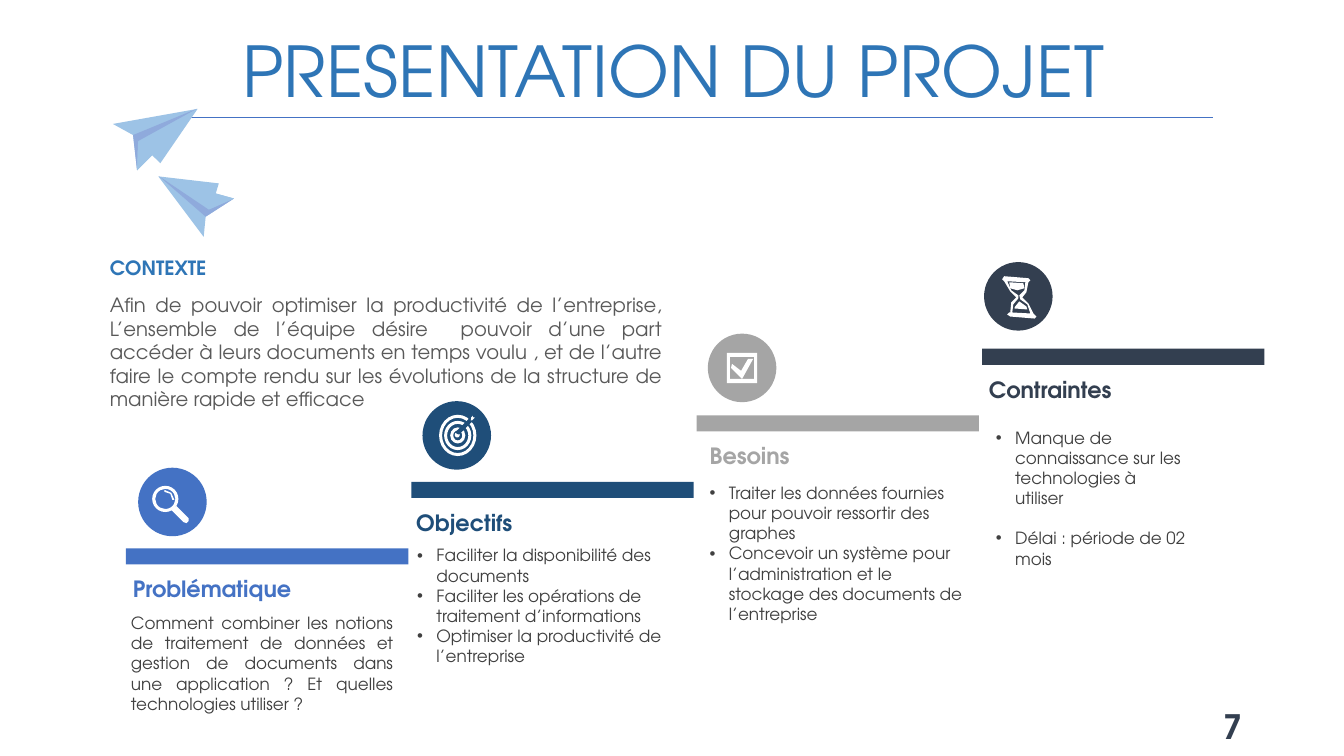
from dataclasses import dataclass

from lxml import etree
from pptx import Presentation
from pptx.dml.color import RGBColor
from pptx.enum.shapes import MSO_CONNECTOR, MSO_SHAPE
from pptx.enum.text import MSO_ANCHOR, PP_ALIGN
from pptx.oxml.ns import qn
from pptx.util import Inches, Pt

RECT, OVAL, DONUT = MSO_SHAPE.RECTANGLE, MSO_SHAPE.OVAL, MSO_SHAPE.DONUT
STRAIGHT = MSO_CONNECTOR.STRAIGHT
LEFT, CENTER = PP_ALIGN.LEFT, PP_ALIGN.CENTER
RIGHT, JUSTIFY = PP_ALIGN.RIGHT, PP_ALIGN.JUSTIFY
TOP, MIDDLE = MSO_ANCHOR.TOP, MSO_ANCHOR.MIDDLE


@dataclass(frozen=True)
class Theme:
    font: str = "TeX Gyre Adventor"
    title: str = "2E75B6"
    rule: str = "4472C4"
    context: str = "595959"
    body: str = "404040"
    white: str = "FFFFFF"
    wing: str = "9DC3E6"
    fold: str = "8FAADC"
    number: str = "333F50"
    title_size: int = 50
    number_size: int = 24
    heading_size: int = 16
    context_size: int = 14
    body_size: int = 12


THEME = Theme()
UNIT = 0.01  # drawings are plotted in hundredths of an inch
DISC = 0.68
BAR_W, BAR_H = 2.8, 0.16
STEP_X, STEP_Y = 2.83, -0.66


def add_text(s, box, lines, size, color, bold=False, align=LEFT, anchor=TOP,
             bullet=False, gap=0, spacing=None):
    tf = s.shapes.add_textbox(*map(Inches, box)).text_frame
    tf.word_wrap = True
    tf.vertical_anchor = anchor
    for i, line in enumerate(lines):
        p = tf.paragraphs[0] if i == 0 else tf.add_paragraph()
        p.alignment = align
        p.line_spacing = spacing
        p.space_before = Pt(gap if i else 0)
        if bullet:
            pPr = p._p.get_or_add_pPr()
            pPr.set("marL", str(Inches(0.19)))
            pPr.set("indent", str(Inches(-0.19)))
            etree.SubElement(pPr, qn("a:buFont")).set("typeface", "Arial")
            etree.SubElement(pPr, qn("a:buChar")).set("char", "•")
        r = p.add_run()
        r.text = line
        r.font.name, r.font.size, r.font.bold = THEME.font, Pt(size), bold
        r.font.color.rgb = RGBColor.from_string(color)


def paint(sp, fill, edge=None):
    sp.shadow.inherit = False
    sp.fill.solid()
    sp.fill.fore_color.rgb = RGBColor.from_string(fill)
    if edge:
        sp.line.color.rgb = RGBColor.from_string(edge)
        sp.line.width = Pt(1.5)
    else:
        sp.line.fill.background()


def add_preset(s, kind, box, fill):
    sp = s.shapes.add_shape(kind, *map(Inches, box))
    paint(sp, fill)
    return sp


def add_outline(s, x, y, contours, fill, edge=None):
    """Draw closed contours, inner ones as holes, from the corner x, y."""
    first, *holes = contours
    builder = s.shapes.build_freeform(*first[0], scale=Inches(UNIT))
    builder.add_line_segments(first[1:], close=True)
    for hole in holes:
        builder.move_to(*hole[0])
        builder.add_line_segments(hole[1:], close=True)
    paint(builder.convert_to_shape(Inches(x), Inches(y)), fill, edge)


def add_ring(s, cx, cy, w, h, thickness):
    box = (cx - w / 2, cy - h / 2, w, h)
    add_preset(s, DONUT, box, THEME.white).adjustments[0] = thickness / w


def draw_magnifier(s, x, y, color):
    add_ring(s, x + 0.27, y + 0.31, 0.26, 0.26, 0.03)
    handle = [(38, 38), (50, 50), (50, 53), (48, 55), (45, 54), (33, 42)]
    glint = [(26, 22), (33, 25), (36, 32), (34, 32), (32, 26), (26, 24)]
    for part in (handle, glint):
        add_outline(s, x, y, [part], THEME.white)


def draw_target(s, x, y, color):
    cx, cy = x + 0.35, y + 0.34
    for w, h in ((0.37, 0.41), (0.27, 0.29), (0.15, 0.16)):
        add_ring(s, cx, cy, w, h, 0.03)
    add_preset(s, OVAL, (cx - 0.03, cy - 0.03, 0.05, 0.05), THEME.white)
    arrow = [(51, 11), (51, 15), (55, 15), (50, 20), (48, 20), (36, 32),
             (34, 31), (47, 18), (47, 16)]
    add_outline(s, x, y, [arrow], THEME.white, edge=color)


def draw_checkbox(s, x, y, color):
    frame = [(19, 19), (49, 19), (49, 49), (19, 49)]
    inside = [(22, 23), (46, 23), (46, 45), (22, 45)]
    tick = [(23, 34), (24, 30), (33, 37), (40, 25), (45, 25), (34, 45)]
    add_outline(s, x, y, [frame, inside], THEME.white)
    add_outline(s, x, y, [tick], THEME.white)


def draw_hourglass(s, x, y, color):
    body = [(50, 56), (26, 54), (23, 52), (25, 50), (26, 50), (27, 40),
            (32, 35), (26, 29), (20, 19), (18, 17), (20, 14), (44, 16),
            (46, 18), (44, 20), (42, 30), (38, 35), (44, 41), (49, 51),
            (52, 54)]
    glass = [(46, 51), (43, 42), (36, 37), (35, 33), (40, 28), (41, 20),
             (23, 19), (27, 28), (34, 33), (34, 36), (29, 42), (28, 50)]
    upper_sand = [(33, 28), (26, 26), (25, 20), (39, 21), (40, 26)]
    lower_sand = [(43, 47), (30, 46), (31, 44), (35, 39), (42, 44)]
    add_outline(s, x, y, [body, glass], THEME.white)
    for sand in (upper_sand, lower_sand):
        add_outline(s, x, y, [sand], THEME.white)


# heading, colour, icon, disc offset, heading offset, body offset and width, body format, lines
STEPS = [
    ("Problématique", "4472C4", draw_magnifier, (0.12, -0.8), -0.03,
     (-0.05, 0.59, 2.8), dict(align=JUSTIFY),
     ["Comment combiner les notions de traitement de données et gestion de "
      "documents dans une application ? Et quelles technologies utiliser ?"]),
    ("Objectifs", "1F4E79", draw_target, (0.11, -0.8), -0.05,
     (-0.04, 0.58, 2.83), dict(bullet=True),
     ["Faciliter la disponibilité des documents",
      "Faciliter les opérations de traitement d’informations",
      "Optimiser la productivité de l’entreprise"]),
    ("Besoins", "A5A5A5", draw_checkbox, (0.11, -0.81), 0.03,
     (0.03, 0.62, 2.77), dict(bullet=True),
     ["Traiter les données fournies pour pouvoir ressortir des graphes",
      "Concevoir un système pour l’administration et le stockage des "
      "documents de l’entreprise"]),
    ("Contraintes", "333F50", draw_hourglass, (0.02, -0.86), -0.03,
     (0.04, 0.73, 2.1), dict(bullet=True, gap=14.4),
     ["Manque de connaissance sur les technologies à utiliser",
      "Délai : période de 02 mois"]),
]

PLANES = [
    (1.12, 1.08,
     [(0, 15), (84, 0), (47, 54), (39, 46), (24, 61), (20, 26)],
     [(83, 0), (20, 26), (24, 61), (25, 32)],
     [(39, 46), (24, 61), (25, 32)]),
    (1.57, 1.75,
     [(45, 60), (0, 0), (60, 7), (57, 17), (75, 22), (47, 40)],
     [(1, 0), (47, 40), (75, 22), (50, 33)],
     [(57, 17), (75, 22), (50, 33)]),
]


def add_header(s, x, y, w, h):
    add_text(s, (x, y, w, h), ["PRESENTATION DU PROJET"], THEME.title_size,
             THEME.title, align=CENTER, anchor=MIDDLE, spacing=0.8)
    rule_y = Inches(y + h)
    rule = s.shapes.add_connector(STRAIGHT, Inches(12.03), rule_y, Inches(1.84), rule_y)
    rule.line.color.rgb = RGBColor.from_string(THEME.rule)
    rule.line.width = Pt(0.5)
    etree.SubElement(rule._element.spPr, qn("a:effectLst"))
    for px, py, wings, fold, tail in PLANES:
        for part, color in ((wings, THEME.wing), (fold, THEME.fold), (tail, THEME.wing)):
            add_outline(s, px, py, [part], color)


def add_context(s, x, y, w):
    add_text(s, (x, y, w, 0.34), ["CONTEXTE"], THEME.context_size, THEME.title, bold=True)
    add_text(s, (x, y + 0.37, w, 1.28),
             ["Afin de pouvoir optimiser la productivité de l’entreprise, L’ensemble de "
              "l’équipe désire  pouvoir d’une part accéder à leurs documents en temps "
              "voulu , et de l’autre faire le compte rendu sur les évolutions de la "
              "structure de manière rapide et efficace"],
             THEME.context_size, THEME.context, align=JUSTIFY)


def add_step(s, x, y, heading, color, draw_icon, disc, heading_dx, body, style, lines):
    add_preset(s, RECT, (x, y, BAR_W, BAR_H), color)
    disc_x, disc_y = x + disc[0], y + disc[1]
    add_preset(s, OVAL, (disc_x, disc_y, DISC, DISC), color)
    draw_icon(s, disc_x, disc_y, color)
    add_text(s, (x + heading_dx, y + 0.22, 2.1, 0.37), [heading],
             THEME.heading_size, color, bold=True)
    dx, dy, w = body
    add_text(s, (x + dx, y + dy, w, 1.3), lines, THEME.body_size, THEME.body, **style)


def main():
    prs = Presentation()
    prs.slide_width, prs.slide_height = Inches(13.33), Inches(7.5)
    s = prs.slides.add_slide(prs.slide_layouts[6])
    add_header(s, 0.35, 0.37, 12.66, 0.79)
    add_context(s, 0.99, 2.49, 5.68)
    for i, step in enumerate(STEPS):
        add_step(s, 1.25 + i * STEP_X, 5.44 + i * STEP_Y, *step)
    add_text(s, (9.42, 6.95, 3, 0.4), ["7"], THEME.number_size, THEME.number,
             bold=True, align=RIGHT)
    prs.save("out.pptx")


if __name__ == "__main__":
    main()
